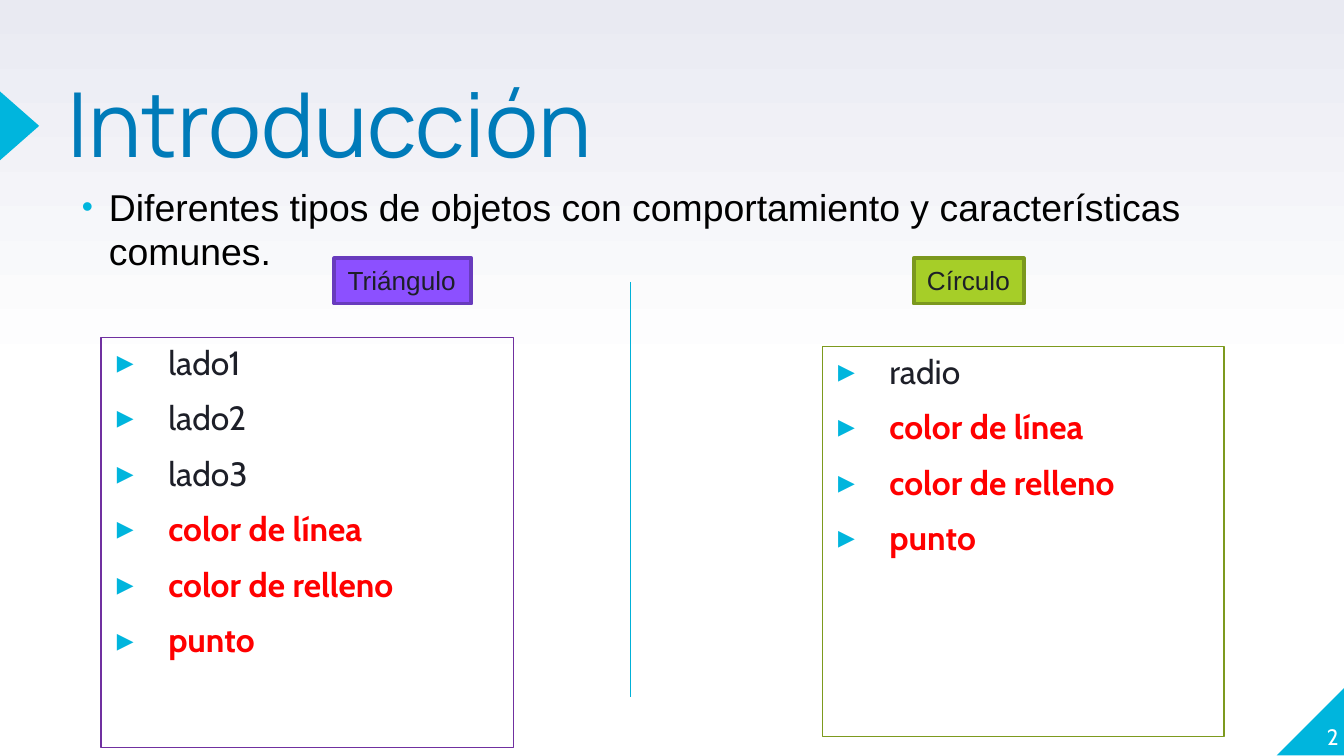
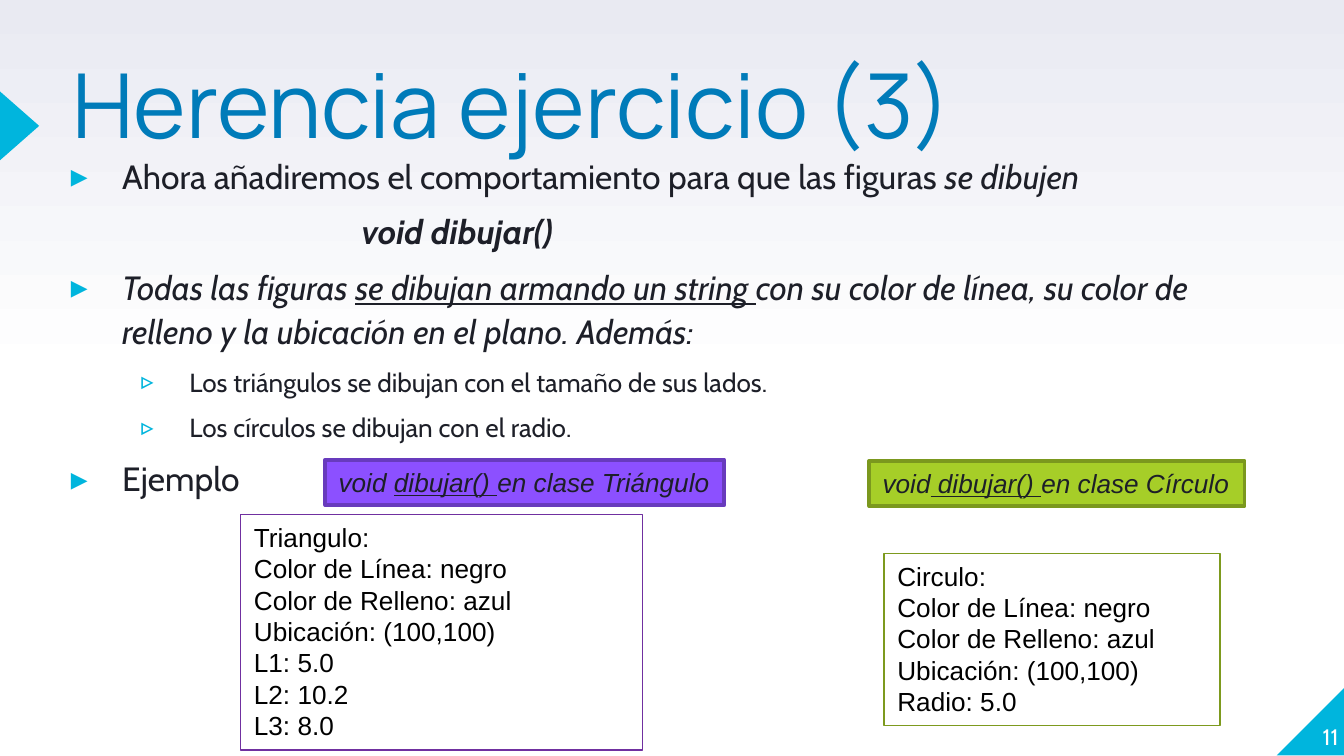
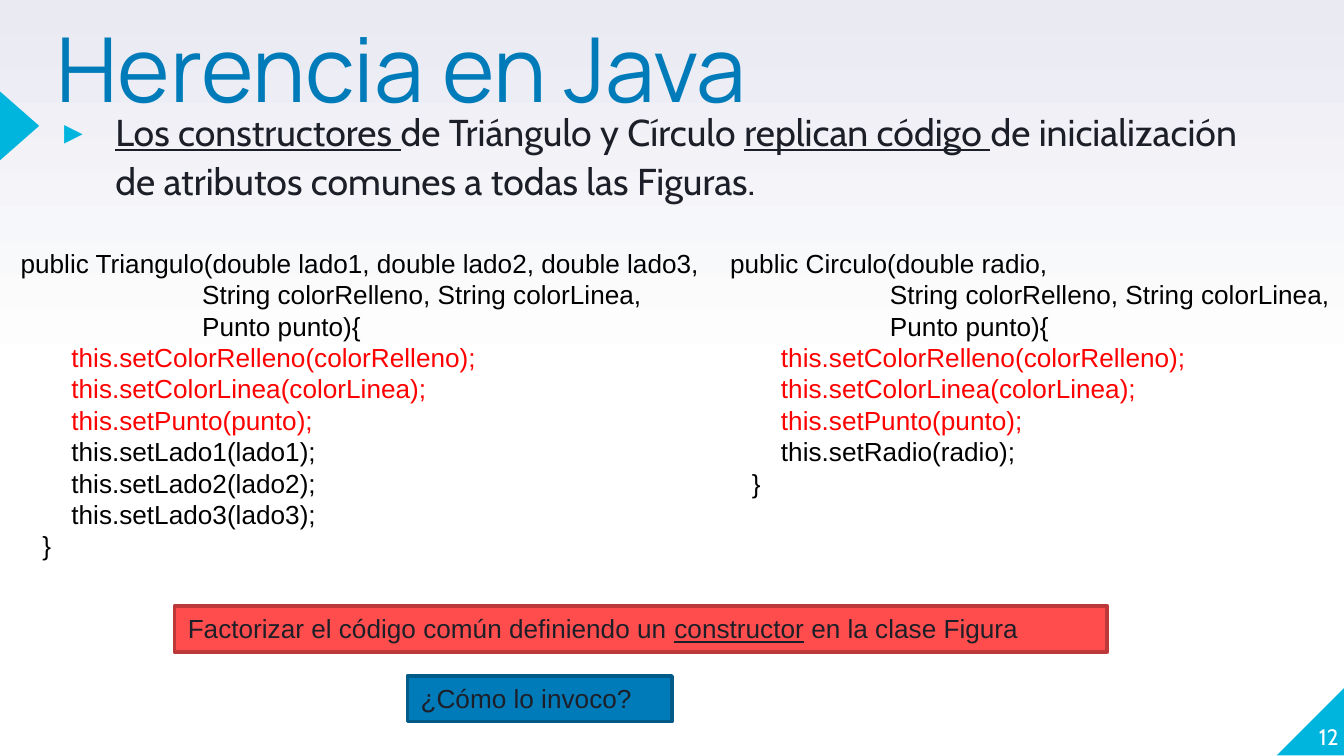
"""Builds three slides on inheritance: introduction, drawing exercise and constructors."""
from copy import deepcopy

from lxml.etree import SubElement
from pptx import Presentation
from pptx.dml.color import RGBColor
from pptx.enum.shapes import MSO_CONNECTOR, MSO_SHAPE
from pptx.enum.text import MSO_ANCHOR, MSO_AUTO_SIZE as FIT, PP_ALIGN
from pptx.oxml.ns import qn
from pptx.util import Cm, Pt

COLORS = {
    "white": "FFFFFF", "mist": "E9EAF2", "cyan": "00B5DD", "blue": "007BB9",
    "ink": "1D1F28", "black": "000000", "red": "FF0000", "divider": "00B1D8",
    "purple": "8C50FF", "purple edge": "683BBD", "purple frame": "7030A0",
    "green": "A6CE28", "green edge": "7B981E", "green frame": "7D9A1E",
    "coral": "FF4D4D", "coral edge": "BD3939", "blue edge": "005B89",
}

# kind: left margin, first-line indent (cm), bullet, bullet size %
KINDS = {
    "item": (1.27, -0.97, "▸", 100),
    "sub": (2.54, -0.97, "▹", 100),
    "method": (5.8, 0, None, 100),
    "dot": (0.51, -0.51, "•", 85),
    "open": (0.14, 0, None, 100),
    "params": (3.57, 0, None, 100),
    "params short": (3.16, 0, None, 100),
    "call": (1.1, 0, None, 100),
    "close": (0.55, 0, None, 100),
}

COMMON = [("item", [(t, "br")]) for t in ("color de línea", "color de relleno", "punto")]
SETTERS = [("call", [(t, "r")]) for t in (
    "this.setColorRelleno(colorRelleno);", "this.setColorLinea(colorLinea);",
    "this.setPunto(punto);")]
STATE = ["Color de Línea: negro", "Color de Relleno: azul", "Ubicación: (100,100)"]


def plain(kind, *lines):
    return [(kind, [(line, "")]) for line in lines]


def constructor(opening, params, *calls):
    return (plain("open", opening)
            + plain(params, "String colorRelleno, String colorLinea,", "Punto punto){")
            + SETTERS + plain("call", *calls) + plain("close", "}"))


SLIDES = [
    {
        "number": 2, "layout": 3,
        "title": ("Introducción", (1.27, 1.68, 15.67, 3)),
        "bodies": [
            ((1.91, 6.38, 7.8, 7.75), 18, "purple frame",
             plain("item", "lado1", "lado2", "lado3") + COMMON),
            ((15.54, 6.55, 7.59, 7.37), 18, "green frame", plain("item", "radio") + COMMON),
        ],
        "labels": [
            ((6.32, 4.88, 2.59, 0.86), "purple", False, [("Triángulo", "")]),
            ((17.27, 4.88, 2.08, 0.86), "green", False, [("Círculo", "")]),
        ],
        "texts": [((1.3, 3.35, 22.81, 1.96), 20, None, plain(
            "dot", "Diferentes tipos de objetos con comportamiento y características comunes."))],
        "divider": (11.91, 5.33, 11.91, 13.18),
    },
    {
        "number": 11, "layout": 1,
        "title": ("Herencia ejercicio (3)", (1.37, 1.32, 20.62, 3)),
        "bodies": [((1.04, 2.87, 22.86, 6.99), 18, None, [
            ("item", [("Ahora añadiremos el comportamiento para que las figuras ", ""),
                      ("se dibujen", "i")]),
            ("method", [("void dibujar()", "bi")]),
            ("item", [("Todas las figuras ", "i"), ("se dibujan armando un string ", "iu"),
                      ("con su color de línea, su color de relleno y la ubicación "
                       "en el plano. Además:", "i")]),
            *plain("sub", "Los triángulos se dibujan con el tamaño de sus lados.",
                   "Los círculos se dibujan con el radio."),
            *plain("item", "Ejemplo"),
        ])],
        "labels": [
            ((16.43, 8.71, 7.09, 0.86), "green", False,
             [("void", "i"), (" dibujar() ", "iu"), ("en clase Círculo", "i")]),
            ((6.15, 8.69, 7.54, 0.86), "purple", False,
             [("void ", "i"), ("dibujar() ", "iu"), ("en clase Triángulo", "i")]),
        ],
        "texts": [
            ((16.71, 10.46, 6.35, 3.25), 14, "green frame",
             plain(None, "Circulo:", *STATE, "Radio: 5.0")),
            ((4.55, 9.73, 7.59, 4.45), 14, "purple frame",
             plain(None, "Triangulo:", *STATE, "L1: 5.0", "L2: 10.2", "L3: 8.0")),
        ],
    },
    {
        "number": 12, "layout": 1,
        "title": ("Herencia en Java", (1.07, 0.64, 15.67, 3)),
        "bodies": [((0.91, 1.98, 23.24, 10.16), 20, None, [
            ("item", [("Los constructores ", "u"), ("de Triángulo y Círculo ", ""),
                      ("replican código ", "u"),
                      ("de inicialización de atributos comunes a todas las Figuras.", "")]),
        ])],
        "labels": [
            ((3.3, 11.46, 17.63, 0.86), "coral", True,
             [("Factorizar el código común definiendo un ", ""), ("constructor", "u"),
              (" en la clase Figura", "")]),
            ((7.7, 12.78, 5, 0.86), "blue", True, [("¿Cómo lo invoco?", "")]),
        ],
        "texts": [
            ((0, 4.55, 17.6, 6.25), 14, None, constructor(
                "public Triangulo(double lado1, double lado2, double lado3,", "params",
                "this.setLado1(lado1);", "this.setLado2(lado2);", "this.setLado3(lado3);")),
            ((13.41, 4.55, 12.6, 5.64), 14, None, constructor(
                "public Circulo(double radio,", "params short", "this.setRadio(radio);")),
        ],
    },
]


def rgb(name):
    return RGBColor.from_string(COLORS[name])


def place(sp, box):
    sp.left, sp.top, sp.width, sp.height = (Cm(v) for v in box)


def outline(sp, color, width):
    sp.line.color.rgb = rgb(color)
    sp.line.width = Pt(width)


def no_insets(tf):
    tf.margin_left = tf.margin_top = tf.margin_right = tf.margin_bottom = 0
    tf.word_wrap = True
    tf.auto_size = FIT.NONE


def add_runs(p, runs, font, size, color):
    for text, flags in runs:
        r = p.add_run()
        r.text = text
        r.font.name, r.font.size = font, Pt(size)
        r.font.color.rgb = rgb("red" if "r" in flags else color)
        r.font.bold, r.font.italic, r.font.underline = (f in flags for f in "biu")


def set_kind(p, kind):
    margin, indent, bullet, percent = KINDS[kind]
    pPr = p._p.get_or_add_pPr()
    pPr.set("marL", str(Cm(margin)))
    pPr.set("indent", str(Cm(indent)))
    if bullet is None:
        SubElement(pPr, qn("a:buNone"))
        return
    SubElement(SubElement(pPr, qn("a:buClr")), qn("a:srgbClr"), val=COLORS["cyan"])
    SubElement(pPr, qn("a:buSzPct"), val=str(percent * 1000))
    SubElement(pPr, qn("a:buFont"), typeface="Arial")
    SubElement(pPr, qn("a:buChar"), char=bullet)


def paragraphs(tf, items):
    for i, (kind, runs) in enumerate(items):
        yield tf.add_paragraph() if i else tf.paragraphs[0], kind, runs


def fill_title(sp, text, box):
    place(sp, box)
    tf = sp.text_frame
    no_insets(tf)
    tf.vertical_anchor = MSO_ANCHOR.TOP
    p = tf.paragraphs[0]
    p.alignment, p.line_spacing = PP_ALIGN.LEFT, 0.8
    add_runs(p, [(text, "")], "Manrope", 48, "blue")


def fill_body(sp, box, size, frame, items):
    place(sp, box)
    if frame:
        outline(sp, frame, 0.75)
    no_insets(sp.text_frame)
    for p, kind, runs in paragraphs(sp.text_frame, items):
        p.level = 1 if kind == "sub" else 0
        p.line_spacing, p.space_before = 1.1, Pt(6)
        set_kind(p, kind)
        add_runs(p, runs, "Cabin", 14 if kind == "sub" else size, "ink")


def add_text(s, box, size, frame, items):
    sp = s.shapes.add_textbox(*(Cm(v) for v in box))
    if frame:
        outline(sp, frame, 0.75)
    tf = sp.text_frame
    tf.word_wrap, tf.auto_size = True, FIT.SHAPE_TO_FIT_TEXT
    for p, kind, runs in paragraphs(tf, items):
        if kind == "dot":
            p.space_before = Pt(4)
        if kind:
            set_kind(p, kind)
        add_runs(p, runs, "Arial", size, "black")


def add_block(s, shape, box, color):
    sp = s.shapes.add_shape(shape, *(Cm(v) for v in box))
    sp.shadow.inherit = False
    sp.fill.solid()
    sp.fill.fore_color.rgb = rgb(color)
    sp.line.fill.background()
    return sp


def add_label(s, box, color, wrap, runs):
    sp = add_block(s, MSO_SHAPE.RECTANGLE, box, color)
    outline(sp, f"{color} edge", 2)
    tf = sp.text_frame
    tf.word_wrap, tf.auto_size = wrap, FIT.SHAPE_TO_FIT_TEXT
    tf.vertical_anchor = MSO_ANCHOR.TOP
    p = tf.paragraphs[0]
    p.alignment = PP_ALIGN.LEFT
    add_runs(p, runs, "Arial", 14, "ink")


def add_divider(s, ends):
    line = s.shapes.add_connector(MSO_CONNECTOR.STRAIGHT, *(Cm(v) for v in ends))
    outline(line, "divider", 0.75)
    SubElement(line.element.spPr, qn("a:effectLst"))


def add_number(s, number):
    sp = s.shapes.add_textbox(Cm(24.03), Cm(12.88), Cm(1.27), Cm(1.3))
    tf = sp.text_frame
    no_insets(tf)
    tf.vertical_anchor = MSO_ANCHOR.BOTTOM
    p = tf.paragraphs[0]
    p.alignment = PP_ALIGN.RIGHT
    add_runs(p, [(str(number), "")], "Cabin", 12, "white")


def dress_master(master, s):
    fill = master.background.fill
    fill.gradient()
    fill.gradient_angle = 90
    for stop, color in zip(fill.gradient_stops, ("white", "mist")):
        stop.color.rgb = rgb(color)
    stops = master.element.cSld.find(".//" + qn("a:gsLst"))
    middle = deepcopy(stops[0])
    middle.set("pos", "50000")
    stops.insert(1, middle)

    corner = add_block(s, MSO_SHAPE.RIGHT_TRIANGLE, (24.13, 12.98, 1.3, 1.3), "cyan")
    corner.element.spPr.xfrm.set("flipH", "1")
    arrow = add_block(s, MSO_SHAPE.ISOSCELES_TRIANGLE, (-0.28, 2.01, 1.3, 0.74), "cyan")
    arrow.rotation = 90
    for shape_id, sp in enumerate((corner, arrow), 101):
        sp.element.nvSpPr.cNvPr.set("id", str(shape_id))
        master.element.cSld.spTree.append(sp.element)


def build_slide(prs, data):
    s = prs.slides.add_slide(prs.slide_layouts[data["layout"]])
    fill_title(s.shapes.title, *data["title"])
    for sp, body in zip(list(s.placeholders)[1:], data["bodies"]):
        fill_body(sp, *body)
    for text in data["texts"]:
        add_text(s, *text)
    for label in data["labels"]:
        add_label(s, *label)
    if "divider" in data:
        add_divider(s, data["divider"])
    add_number(s, data["number"])
    return s


def main():
    prs = Presentation()
    prs.slide_width, prs.slide_height = Cm(25.4), Cm(14.29)
    slides = [build_slide(prs, data) for data in SLIDES]
    dress_master(prs.slide_master, slides[0])
    prs.save("out.pptx")


if __name__ == "__main__":
    main()
